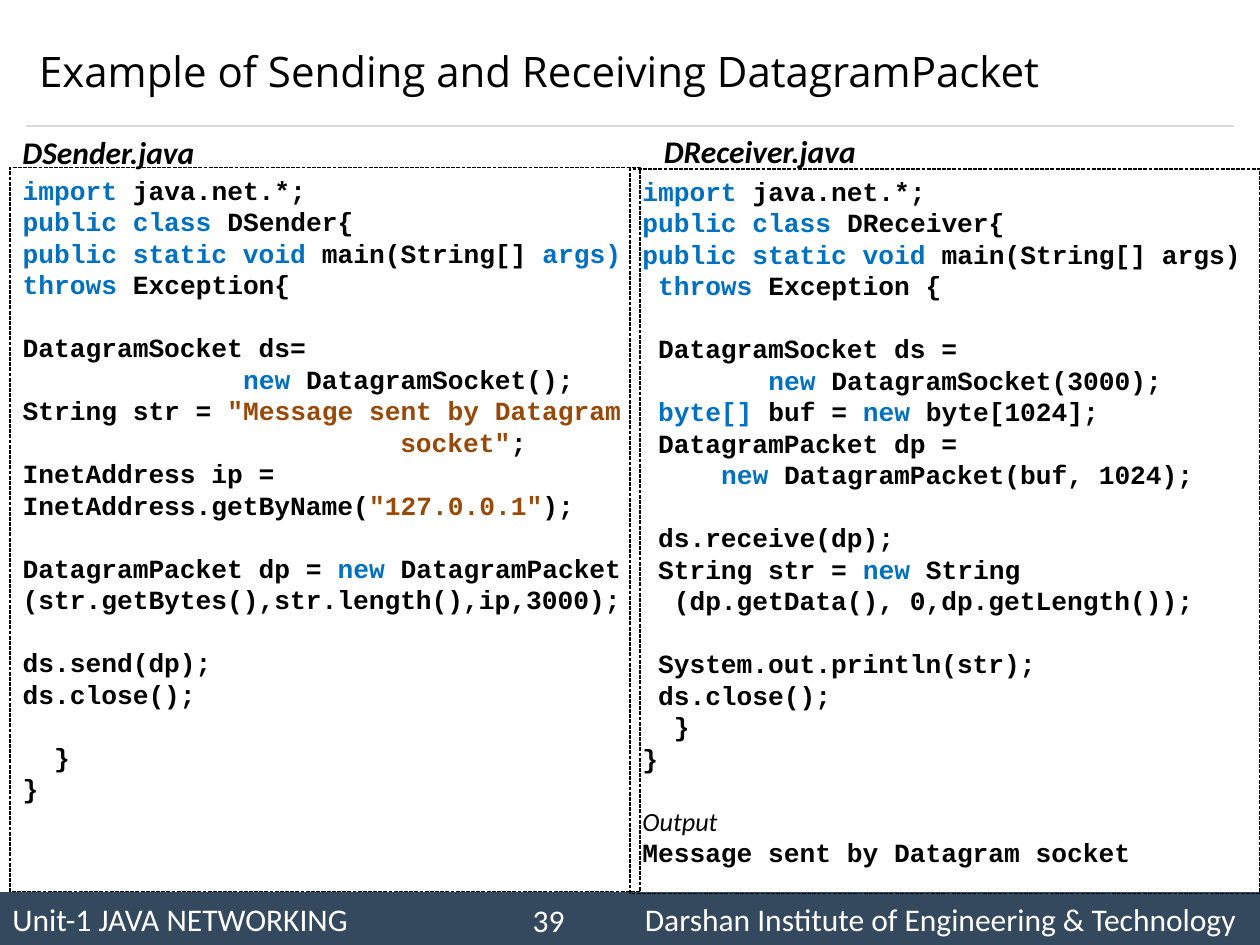
import pptx
import pptx.dml.color
import pptx.enum.dml
import pptx.enum.shapes
import pptx.enum.text
import pptx.oxml.ns
import pptx.util
from dataclasses import dataclass
from lxml import etree

BLACK = pptx.dml.color.RGBColor(0x00, 0x00, 0x00)
WHITE = pptx.dml.color.RGBColor(0xFF, 0xFF, 0xFF)
KEYWORD_BLUE = pptx.dml.color.RGBColor(0x00, 0x70, 0xC0)
STRING_BROWN = pptx.dml.color.RGBColor(0x98, 0x48, 0x07)
FOOTER_NAVY = pptx.dml.color.RGBColor(0x34, 0x49, 0x5E)
RULE_GREY = pptx.dml.color.RGBColor(0xD9, 0xD9, 0xD9)

SLIDE_WIDTH = pptx.util.Inches(10)
SLIDE_HEIGHT = pptx.util.Inches(7.5)
COLUMNS, ROWS = 100, 75
LINE_PITCH = pptx.util.Pt(18)


def across(columns: float) -> int:
    return round(SLIDE_WIDTH * columns / COLUMNS)


def down(rows: float) -> int:
    return round(SLIDE_HEIGHT * rows / ROWS)


@dataclass(frozen=True)
class Area:
    column: float
    row: float
    columns: float
    rows: float

    def box(self) -> tuple:
        return across(self.column), down(self.row), across(self.columns), down(self.rows)


@dataclass(frozen=True)
class Span:
    text: str
    color: pptx.dml.color.RGBColor = BLACK


@dataclass(frozen=True)
class Line:
    spans: tuple
    gap_before: int = 0
    font_name: str = "Courier New"
    bold: bool = True
    italic: bool = False


@dataclass(frozen=True)
class Label:
    text: str
    area: Area
    color: pptx.dml.color.RGBColor = BLACK
    emphasis: bool = False


def plain(text: str) -> Span:
    return Span(text)


def keyword(text: str) -> Span:
    return Span(text, KEYWORD_BLUE)


def string(text: str) -> Span:
    return Span(text, STRING_BROWN)


def line(*spans: Span) -> Line:
    return Line(spans)


def after_gap(*spans: Span, **style) -> Line:
    return Line(spans, gap_before=1, **style)


def opening(class_name: str) -> list:
    return [
        line(keyword("import"), plain(" java.net.*;")),
        line(keyword("public class "), plain(class_name + "{")),
    ]


SENDER_CODE = opening("DSender") + [
    line(keyword("public static void"), plain(" main(String[] "), keyword("args)")),
    line(keyword("throws"), plain(" Exception{")),
    after_gap(plain("DatagramSocket ds=")),
    line(plain("              "), keyword("new "), plain("DatagramSocket();")),
    line(plain("String str = "), string('"Message sent by Datagram')),
    line(string('                        socket"'), plain(";")),
    line(plain("InetAddress ip =")),
    line(plain("InetAddress.getByName("), string('"127.0.0.1"'), plain(");")),
    after_gap(plain("DatagramPacket dp = "), keyword("new "), plain("DatagramPacket")),
    line(plain("(str.getBytes(),str.length(),ip,3000);")),
    after_gap(plain("ds.send(dp);")),
    line(plain("ds.close();")),
    after_gap(plain("  }")),
    line(plain("}")),
]

RECEIVER_CODE = opening("DReceiver") + [
    line(keyword("public static void"), plain(" main(String[] args)")),
    line(keyword(" throws"), plain(" Exception {")),
    after_gap(plain(" DatagramSocket ds =")),
    line(plain("        "), keyword("new "), plain("DatagramSocket(3000);")),
    line(keyword(" byte[] "), plain("buf = "), keyword("new"), plain(" byte[1024];")),
    line(plain(" DatagramPacket dp =")),
    line(plain("     "), keyword("new "), plain("DatagramPacket(buf, 1024);")),
    after_gap(plain(" ds.receive(dp);")),
    line(plain(" String str = "), keyword("new"), plain(" String")),
    line(plain("  (dp.getData(), 0,dp.getLength());")),
    after_gap(plain(" System.out.println(str);")),
    line(plain(" ds.close();")),
    line(plain("  }")),
    line(plain("}")),
    after_gap(plain("Output"), font_name="Calibri", bold=False, italic=True),
    line(plain("Message sent by Datagram socket")),
]

LABELS = [
    Label("39", Area(41.3, 71, 5, 4), color=WHITE),
    Label("DSender.java", Area(0.8, 10.1, 15.8, 4), emphasis=True),
    Label("DReceiver.java", Area(51.7, 10, 20, 4), emphasis=True),
]


def place(shape, area: Area) -> None:
    shape.left, shape.top, shape.width, shape.height = area.box()


def write_code(shape, code: list) -> None:
    shape.line.color.rgb = BLACK
    shape.line.width = pptx.util.Pt(0.75)
    shape.line.dash_style = pptx.enum.dml.MSO_LINE.SQUARE_DOT
    frame = shape.text_frame
    frame.word_wrap = True
    frame.auto_size = pptx.enum.text.MSO_AUTO_SIZE.NONE
    for index, code_line in enumerate(code):
        paragraph = frame.paragraphs[0] if index == 0 else frame.add_paragraph()
        properties = paragraph._p.get_or_add_pPr()
        properties.set("marL", "0")
        properties.set("indent", "0")
        etree.SubElement(properties, pptx.oxml.ns.qn("a:buNone"))
        paragraph.line_spacing = LINE_PITCH
        paragraph.space_before = LINE_PITCH * code_line.gap_before
        paragraph.font.name = code_line.font_name
        paragraph.font.size = pptx.util.Pt(15)
        paragraph.font.bold = code_line.bold
        paragraph.font.italic = code_line.italic
        for span in code_line.spans:
            run = paragraph.add_run()
            run.text = span.text
            run.font.color.rgb = span.color


def format_text(paragraph, size: float, color, font_name: str = "Calibri") -> None:
    paragraph.alignment = pptx.enum.text.PP_ALIGN.LEFT
    paragraph.font.name = font_name
    paragraph.font.size = pptx.util.Pt(size)
    paragraph.font.color.rgb = color


def draw_label(slide, label: Label) -> None:
    frame = slide.shapes.add_textbox(*label.area.box()).text_frame
    frame.word_wrap = True
    paragraph = frame.paragraphs[0]
    paragraph.text = label.text
    format_text(paragraph, 18, label.color)
    paragraph.font.bold = paragraph.font.italic = label.emphasis


def draw_footer(slide) -> None:
    bar = slide.shapes.add_shape(
        pptx.enum.shapes.MSO_SHAPE.RECTANGLE, *Area(0, 70.8, 100, 4.2).box())
    bar.shadow.inherit = False
    bar.fill.solid()
    bar.fill.fore_color.rgb = FOOTER_NAVY
    bar.line.fill.background()
    paragraph = bar.text_frame.paragraphs[0]
    paragraph.text = "Unit-1 JAVA NETWORKING\tDarshan Institute of Engineering & Technology"
    tabs = etree.SubElement(paragraph._p.get_or_add_pPr(), pptx.oxml.ns.qn("a:tabLst"))
    etree.SubElement(tabs, pptx.oxml.ns.qn("a:tab"), pos=str(across(50.2)), algn="l")
    format_text(paragraph, 18, WHITE)


def draw_rule(slide) -> None:
    rule = slide.shapes.add_connector(
        pptx.enum.shapes.MSO_CONNECTOR.STRAIGHT, across(2.1), down(10), across(97.9), down(10))
    rule.line.color.rgb = RULE_GREY
    rule.line.width = pptx.util.Pt(0.75)
    etree.SubElement(rule._element.spPr, pptx.oxml.ns.qn("a:effectLst"))


def main() -> None:
    presentation = pptx.Presentation()
    presentation.slide_width, presentation.slide_height = SLIDE_WIDTH, SLIDE_HEIGHT
    slide = presentation.slides.add_slide(presentation.slide_layouts[1])
    title, sender = slide.placeholders
    draw_footer(slide)
    draw_rule(slide)
    place(title, Area(2.1, 1.2, 95.8, 8.8))
    title.text_frame.text = "Example of Sending and Receiving DatagramPacket"
    format_text(title.text_frame.paragraphs[0], 24, BLACK, "Open Sans")
    place(sender, Area(0.8, 13.3, 50, 57.5))
    write_code(sender, SENDER_CODE)
    receiver = slide.shapes.add_textbox(*Area(50, 13.4, 50, 57.5).box())
    write_code(receiver, RECEIVER_CODE)
    for label in LABELS:
        draw_label(slide, label)
    presentation.save("out.pptx")


if __name__ == "__main__":
    main()
